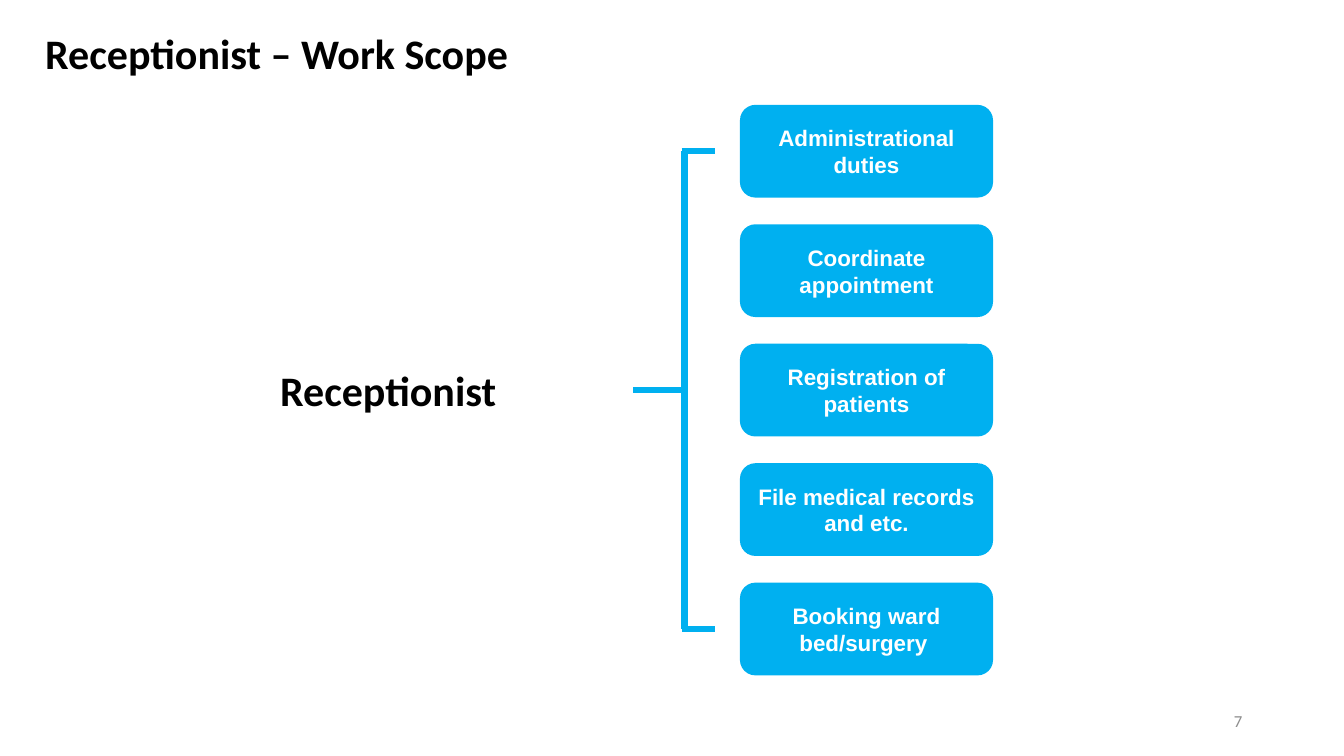
from dataclasses import dataclass

from lxml.etree import SubElement
from pptx import Presentation
from pptx.dml.color import RGBColor
from pptx.enum.shapes import MSO_CONNECTOR as Connector, MSO_SHAPE as Preset
from pptx.enum.text import MSO_ANCHOR as Anchor, MSO_AUTO_SIZE as AutoSize, PP_ALIGN as Align
from pptx.oxml.ns import qn
from pptx.slide import Slide
from pptx.text.text import TextFrame
from pptx.util import Inches, Pt

WIDTH, HEIGHT = Inches(13.33), Inches(7.5)
COLORS = {"accent": "00B0F0", "heading": "000000", "card_text": "FFFFFF", "number": "8C8C8C"}

CARD_LEFT, CARD_TOP = 55.06, 13.87
CARD_WIDTH, CARD_HEIGHT, CARD_PITCH = 18.83, 12.27, 15.8
STEM_LEFT, SPINE_X, ARM_LEFT, ARM_RIGHT = 47.11, 50.94, 50.71, 53.19
DUTIES = [
    "Administrational duties",
    "Coordinate appointment",
    "Registration of patients",
    "File medical records and etc.",
    "Booking ward bed/surgery ",
]


@dataclass(frozen=True)
class Area:
    left: float
    top: float
    width: float
    height: float

    def lengths(self) -> tuple[int, int, int, int]:
        return across(self.left), down(self.top), across(self.width), down(self.height)


@dataclass(frozen=True)
class Style:
    font: str
    size: int
    color: str
    bold: bool
    align: Align


@dataclass(frozen=True)
class Stroke:
    start_x: float
    start_y: float
    end_x: float
    end_y: float


HEADING = Style("Calibri", 30, "heading", True, Align.LEFT)
CARD = Style("Arial", 16, "card_text", True, Align.CENTER)
NUMBER = Style("Calibri", 12, "number", False, Align.RIGHT)


def across(percent: float) -> int:
    return round(WIDTH * percent / 100)


def down(percent: float) -> int:
    return round(HEIGHT * percent / 100)


def color(name: str) -> RGBColor:
    return RGBColor.from_string(COLORS[name])


def write(frame: TextFrame, text: str, style: Style) -> None:
    frame.text = text
    para = frame.paragraphs[0]
    para.alignment = style.align
    font = para.runs[0].font
    font.name, font.size, font.bold = style.font, Pt(style.size), style.bold
    font.color.rgb = color(style.color)


def add_heading(page: Slide, area: Area, text: str) -> None:
    frame = page.shapes.add_textbox(*area.lengths()).text_frame
    frame.word_wrap = False
    frame.auto_size = AutoSize.SHAPE_TO_FIT_TEXT
    write(frame, text, HEADING)


def add_number(page: Slide, area: Area, text: str) -> None:
    frame = page.shapes.add_textbox(*area.lengths()).text_frame
    frame.word_wrap = True
    frame.vertical_anchor = Anchor.MIDDLE
    write(frame, text, NUMBER)


def add_card(page: Slide, area: Area, text: str) -> None:
    card = page.shapes.add_shape(Preset.ROUNDED_RECTANGLE, *area.lengths())
    card.shadow.inherit = False
    card.fill.solid()
    card.fill.fore_color.rgb = color("accent")
    card.line.fill.background()
    card.text_frame.word_wrap = True
    card.text_frame.vertical_anchor = Anchor.MIDDLE
    write(card.text_frame, text, CARD)


def add_stroke(page: Slide, stroke: Stroke) -> None:
    line = page.shapes.add_connector(
        Connector.STRAIGHT,
        across(stroke.start_x), down(stroke.start_y),
        across(stroke.end_x), down(stroke.end_y),
    )
    line.line.color.rgb = color("accent")
    line.line.width = Pt(4.5)
    SubElement(line._element.spPr, qn("a:effectLst"))


def main() -> None:
    deck = Presentation()
    deck.slide_width, deck.slide_height = WIDTH, HEIGHT
    page = deck.slides.add_slide(deck.slide_layouts[6])

    add_number(page, Area(70.67, 92.67, 22.5, 5.33), "7")
    for row, duty in enumerate(DUTIES):
        top = CARD_TOP + row * CARD_PITCH
        add_card(page, Area(CARD_LEFT, top, CARD_WIDTH, CARD_HEIGHT), duty)

    first = CARD_TOP + CARD_HEIGHT / 2
    last = first + (len(DUTIES) - 1) * CARD_PITCH
    middle = (first + last) / 2
    bracket = [
        Stroke(STEM_LEFT, middle, ARM_LEFT, middle),
        Stroke(ARM_LEFT, first, ARM_RIGHT, first),
        Stroke(ARM_LEFT, last, ARM_RIGHT, last),
        Stroke(SPINE_X, first, SPINE_X, last),
    ]
    for stroke in bracket:
        add_stroke(page, stroke)

    add_heading(page, Area(20.11, 47.6, 20.48, 8.13), "Receptionist")
    add_heading(page, Area(2.63, 2.93, 36.31, 8.13), "Receptionist – Work Scope")
    deck.save("out.pptx")


if __name__ == "__main__":
    main()
